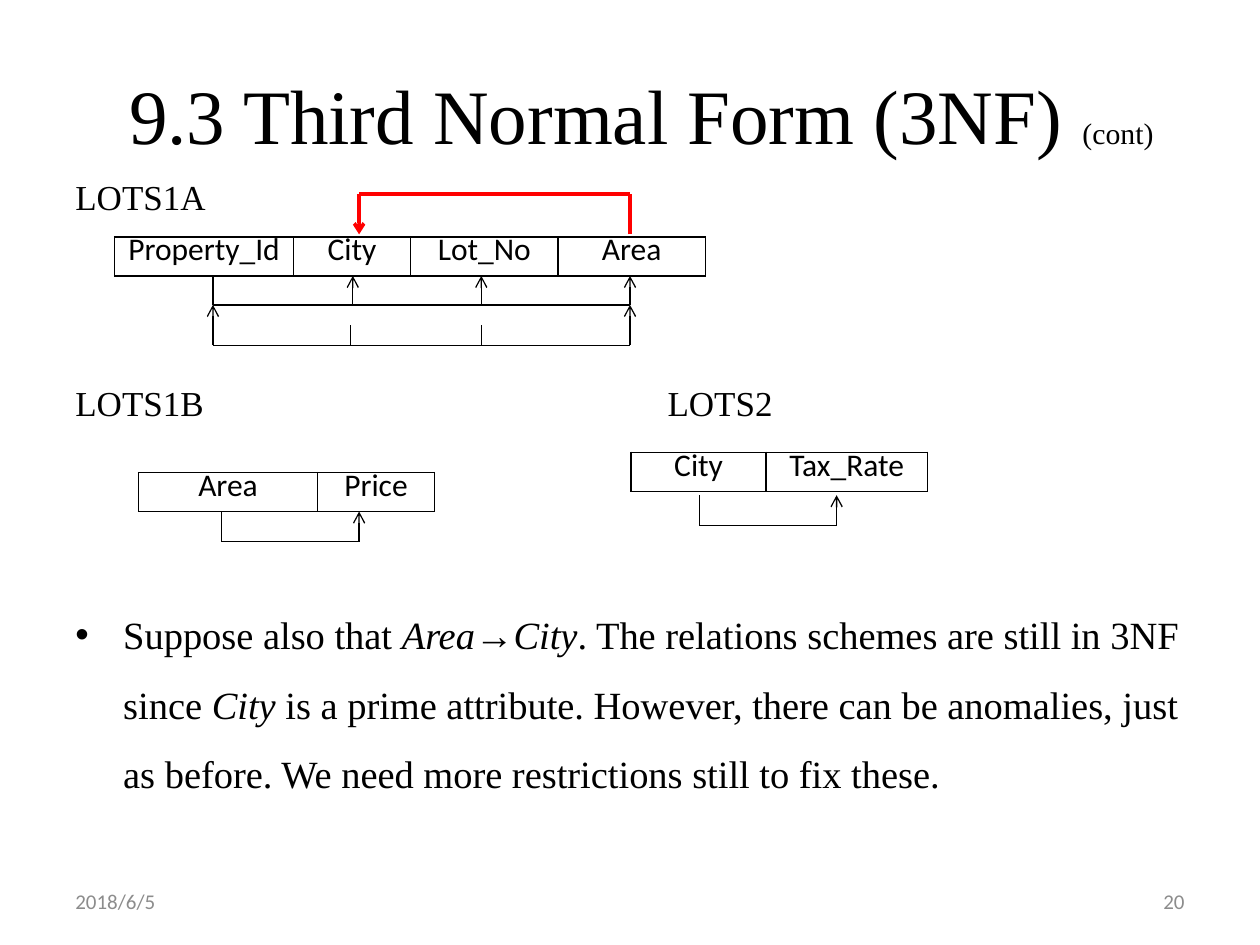
from itertools import pairwise

from lxml.etree import SubElement
from pptx import Presentation
from pptx.dml.color import RGBColor as RGB
from pptx.enum.shapes import MSO_CONNECTOR as CONN
from pptx.enum.text import MSO_ANCHOR as ANCHOR, PP_ALIGN as ALIGN
from pptx.oxml.ns import qn
from pptx.util import Inches, Pt

COLORS = {"ink": "000000", "alert": "FF0000", "muted": "8C8C8C"}
SERIF, SANS = "Times New Roman", "Calibri"
COLS, ROWS = 100, 75


class SlideBuilder:
    """Draws on one slide; lengths are columns and rows of a 100 x 75 grid."""

    def __init__(self, prs):
        self.slide = prs.slides.add_slide(prs.slide_layouts[6])
        self.col = prs.slide_width / COLS
        self.row = prs.slide_height / ROWS

    def x(self, cols):
        return round(cols * self.col)

    def y(self, rows):
        return round(rows * self.row)

    def run(self, p, text, size, font=SERIF, color="ink", italic=False):
        r = p.add_run()
        r.text = text
        r.font.size, r.font.name, r.font.italic = Pt(size), font, italic
        r.font.color.rgb = RGB.from_string(COLORS[color])

    def text(self, left, top, width, height, align=ALIGN.LEFT, anchor=ANCHOR.TOP):
        """Add an empty text box and return its first paragraph."""
        sp = self.slide.shapes.add_textbox(
            self.x(left), self.y(top), self.x(width), self.y(height))
        tf = sp.text_frame
        tf.word_wrap, tf.vertical_anchor = True, anchor
        p = tf.paragraphs[0]
        p.alignment = align
        return p

    def bullet(self, p, indent):
        pPr = p._p.get_or_add_pPr()
        pPr.set("marL", str(Inches(indent)))
        pPr.set("indent", str(-Inches(indent)))
        SubElement(pPr, qn("a:buFont"), typeface="Arial")
        SubElement(pPr, qn("a:buChar"), char="•")

    def relation(self, left, top, widths, names, height=3.1):
        """Add a one-row table of attribute names."""
        frame = self.slide.shapes.add_table(
            1, len(names), self.x(left), self.y(top),
            self.x(sum(widths)), self.y(height))
        table = frame.table
        table.first_row = table.horz_banding = False
        table.rows[0].height = self.y(height)
        for i, (width, name) in enumerate(zip(widths, names)):
            table.columns[i].width = self.x(width)
            cell = table.cell(0, i)
            cell.margin_left = cell.margin_right = cell.margin_bottom = 0
            cell.margin_top = self.y(0.5)
            self.borders(cell)
            cell.fill.background()
            p = cell.text_frame.paragraphs[0]
            p.alignment, p.line_spacing = ALIGN.CENTER, Pt(15)
            self.run(p, name, 18, SANS)

    def borders(self, cell):
        tcPr = cell._tc.get_or_add_tcPr()
        for side in ("lnL", "lnR", "lnT", "lnB"):
            ln = SubElement(tcPr, qn(f"a:{side}"), w=str(Pt(1)))
            fill = SubElement(ln, qn("a:solidFill"))
            SubElement(fill, qn("a:srgbClr"), val=COLORS["ink"])

    def line(self, start, end, arrow=False, color="ink", weight=0.75):
        (x1, y1), (x2, y2) = start, end
        c = self.slide.shapes.add_connector(
            CONN.STRAIGHT, self.x(x1), self.y(y1), self.x(x2), self.y(y2))
        c.line.width = Pt(weight)
        c.line.color.rgb = RGB.from_string(COLORS[color])
        if arrow:
            SubElement(c.line._ln, qn("a:tailEnd"), type="arrow")
        SubElement(c._element.spPr, qn("a:effectLst"))

    def route(self, *points, **style):
        """Join points by lines, with an arrowhead at the last one."""
        for start, end in pairwise(points):
            self.line(start, end, arrow=end == points[-1], **style)


def main():
    prs = Presentation()
    prs.slide_width, prs.slide_height = Inches(10), Inches(7.5)
    s = SlideBuilder(prs)

    title = s.text(5.9, 2.8, 90, 12.5, ALIGN.CENTER, ANCHOR.MIDDLE)
    s.run(title, "9.3 Third Normal Form (3NF) ", 44)
    s.run(title, "(cont)", 17)

    for left, top, name in ((5, 13.4, "LOTS1A"), (5, 29.8, "LOTS1B"),
                            (52, 29.8, "LOTS2")):
        s.run(s.text(left, top, 20, 4.2), name, 20)

    s.relation(9.1, 18.8, (14.2, 9.3, 11.7, 11.7),
               ("Property_Id", "City", "Lot_No", "Area"))
    s.relation(11, 37.5, (14.2, 9.3), ("Area", "Price"))
    s.relation(50.1, 35.9, (10.7, 12.8), ("City", "Tax_Rate"))

    # Dependencies in LOTS1A: key on Property_Id, then key on City and Lot_No
    prop, city, lot, area = 16.9, 28, 38.2, 50
    under, upper, lower = 21.9, 24.2, 27.4
    s.line((prop, under), (prop, upper))
    for x in (city, lot, area):
        s.line((x, upper), (x, under), arrow=True)
    for y in (upper, lower):
        s.line((prop, y), (area, y))
    for x in (prop, area):
        s.line((x, lower), (x, upper), arrow=True)
    for x in (city - 0.2, lot):
        s.line((x, lower), (x, lower - 1.6))

    # Area -> Price, City -> Tax_Rate and Area -> City
    for left, top, bottom in ((17.6, 40.6, 43), (55.5, 39.3, 41.7)):
        right = left + 10.9
        s.route((left, top), (left, bottom), (right, bottom), (right, top))
    s.route((area, 18.6), (area, 15.4), (28.5, 15.4), (28.5, 18.6),
            color="alert", weight=2)

    body = s.text(5, 46.2, 90, 18)
    body.line_spacing = 1.5
    s.bullet(body, 0.38)
    for text, italic in (
            ("Suppose also that ", False), ("Area", True), ("→", False),
            ("City", True),
            (". The relations schemes are still in 3NF since ", False),
            ("City", True),
            (" is a prime attribute. However, there can be anomalies, just as "
             "before. We need more restrictions still to fix these.", False)):
        s.run(body, text, 22, italic=italic)

    for left, text, align in ((5, "2018/6/5", ALIGN.LEFT),
                              (71.7, "20", ALIGN.RIGHT)):
        s.run(s.text(left, 69.5, 23.3, 4, align, ANCHOR.MIDDLE),
              text, 12, SANS, "muted")

    prs.save("out.pptx")


if __name__ == "__main__":
    main()
